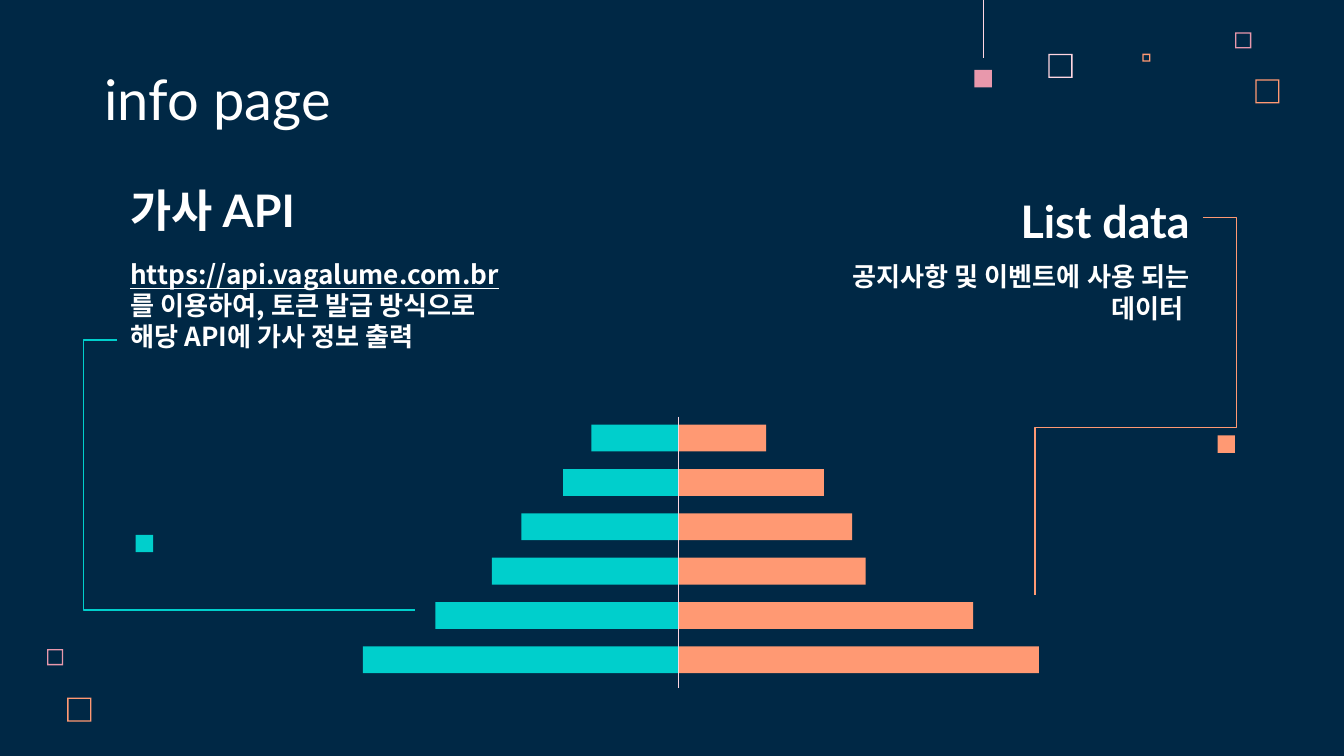
from lxml import etree
from pptx import Presentation
from pptx.dml.color import RGBColor
from pptx.enum.shapes import MSO_CONNECTOR, MSO_SHAPE
from pptx.enum.text import MSO_ANCHOR, PP_ALIGN
from pptx.oxml.ns import qn
from pptx.util import Inches, Pt

RECTANGLE, FRAME = MSO_SHAPE.RECTANGLE, MSO_SHAPE.FRAME
STRAIGHT, ELBOW = MSO_CONNECTOR.STRAIGHT, MSO_CONNECTOR.ELBOW
TOP, BOTTOM = MSO_ANCHOR.TOP, MSO_ANCHOR.BOTTOM
LEFT, RIGHT = PP_ALIGN.LEFT, PP_ALIGN.RIGHT

COLORS = {
    "navy": "002845",
    "white": "FFFFFF",
    "teal": "00CFCC",
    "orange": "FF9973",
    "pink": "E898AC",
    "blush": "FFD6E1",
}
LATIN, KOREAN = "Lato", "Noto Sans CJK KR"
TITLE = {"name": LATIN, "size": Pt(30)}
HEADING = {"name": LATIN, "size": Pt(24), "bold": True}
KOREAN_HEADING = {**HEADING, "name": KOREAN}
BODY = {"name": KOREAN, "size": Pt(14), "bold": True}
LINK = {**BODY, "underline": True}

FRAME_THICKNESS = 0.01
SQUARE_SIZE = 0.13


def rgb(color):
    return RGBColor.from_string(COLORS[color])


def add_block(slide, left, top, width, height, color, kind=RECTANGLE):
    block = slide.shapes.add_shape(
        kind, Inches(left), Inches(top), Inches(width), Inches(height))
    block.shadow.inherit = False
    block.fill.solid()
    block.fill.fore_color.rgb = rgb(color)
    block.line.fill.background()
    return block


def add_square(slide, left, top, color):
    add_block(slide, left, top, SQUARE_SIZE, SQUARE_SIZE, color)


def add_line(slide, start, end, color, preset=None, bends=()):
    """Draw a line; bends are fractions of the width and height where an elbow turns."""
    line = slide.shapes.add_connector(
        ELBOW if preset else STRAIGHT, *map(Inches, (*start, *end)))
    line.line.color.rgb = rgb(color)
    line.line.width = Pt(0.75)
    properties = line._element.spPr
    etree.SubElement(properties, qn("a:effectLst"))
    if preset:
        geometry = properties.find(qn("a:prstGeom"))
        geometry.set("prst", preset)
        guides = geometry.find(qn("a:avLst"))
        if guides is None:
            guides = etree.SubElement(geometry, qn("a:avLst"))
        for number, bend in enumerate(bends, 1):
            etree.SubElement(guides, qn("a:gd"), name=f"adj{number}",
                             fmla=f"val {round(bend * 100000)}")


def add_text(slide, box, runs, align=LEFT, anchor=TOP):
    """Place one paragraph made of (text, font format) runs."""
    frame = slide.shapes.add_textbox(*map(Inches, box)).text_frame
    frame.word_wrap = True
    frame.vertical_anchor = anchor
    for side in ("left", "top", "right", "bottom"):
        setattr(frame, f"margin_{side}", Inches(0.1))
    paragraph = frame.paragraphs[0]
    paragraph.alignment = align
    for text, style in runs:
        run = paragraph.add_run()
        run.text = text
        for attribute, value in style.items():
            setattr(run.font, attribute, value)
        run.font.color.rgb = rgb("white")
        east_asian = etree.Element(qn("a:ea"), typeface=KOREAN)
        run.font._element.find(qn("a:latin")).addnext(east_asian)


def add_frames(slide, left, top, frames):
    """Scatter hollow squares given as (x, y, size, color) from a corner."""
    for x, y, size, color in frames:
        frame = add_block(slide, left + x, top + y, size, size, color, FRAME)
        frame.adjustments[0] = FRAME_THICKNESS / size


def add_decoration(slide):
    add_frames(slide, 7.8, 0.24, [
        (0, 0.16, 0.18, "blush"),
        (1.39, 0, 0.12, "pink"),
        (0.7, 0.16, 0.06, "orange"),
        (1.54, 0.35, 0.18, "orange"),
    ])
    add_frames(slide, 0.35, 4.83, [
        (0, 0, 0.12, "pink"),
        (0.15, 0.36, 0.18, "orange"),
    ])
    add_square(slide, 7.25, 0.52, "pink")
    add_line(slide, (7.32, 0), (7.32, 0.43), "blush")


def add_pyramid(slide, center, top, height):
    """Mirror two sets of bars, narrow to wide, around a vertical axis."""
    teal_widths = [0.65, 0.86, 1.17, 1.39, 1.81, 2.35]
    orange_widths = [0.65, 1.08, 1.29, 1.39, 2.19, 2.68]
    bar_height, top_margin, bottom_margin = 0.2, 0.06, 0.11
    travel = height - top_margin - bottom_margin - bar_height
    pitch = travel / (len(teal_widths) - 1)
    for row, (teal, orange) in enumerate(zip(teal_widths, orange_widths)):
        y = top + top_margin + row * pitch
        add_block(slide, center, y, orange, bar_height, "orange")
        add_block(slide, center - teal, y, teal, bar_height, "teal")
    add_line(slide, (center, top), (center, top + height), "blush")


def add_lyrics_panel(slide, left, top):
    add_text(slide, (left, top, 1.96, 0.53),
             [("가사 ", KOREAN_HEADING), ("API", HEADING)])
    add_text(slide, (left, top + 0.56, 2.99, 1.42), [
        ("https://api.vagalume.com.br", LINK),
        ("를 이용하여, 토큰 발급 방식으로 해당 API에 가사 정보 출력", BODY),
    ])
    add_line(slide, (left, top + 1.27), (left + 2.22, top + 3.28), "teal",
             "bentConnector3", [-0.113])
    add_square(slide, left + 0.14, top + 2.72, "teal")


def add_list_panel(slide, right, top):
    add_text(slide, (right - 2.75, top, 2.75, 0.63), [("List data", HEADING)],
             RIGHT, BOTTOM)
    add_text(slide, (right - 2.99, top + 0.53, 2.99, 0.63),
             [("공지사항 및 이벤트에 사용 되는 데이터 ", BODY)], RIGHT)
    add_line(slide, (right, top + 0.31), (right - 1.25, top + 3.12), "orange",
             "bentConnector4", [-0.199, 0.556])
    add_square(slide, right + 0.11, top + 1.93, "orange")


def main():
    presentation = Presentation()
    presentation.slide_width = Inches(10)
    presentation.slide_height = Inches(10) * 9 // 16
    slide = presentation.slides.add_slide(presentation.slide_layouts[6])
    slide.background.fill.solid()
    slide.background.fill.fore_color.rgb = rgb("navy")

    add_decoration(slide)
    add_text(slide, (0.68, 0.45, 6.73, 0.63), [("info page", TITLE)], anchor=BOTTOM)
    add_pyramid(slide, 5.05, 3.1, 2.02)
    add_lyrics_panel(slide, 0.87, 1.26)
    add_list_panel(slide, 8.95, 1.31)
    presentation.save("out.pptx")


if __name__ == "__main__":
    main()
